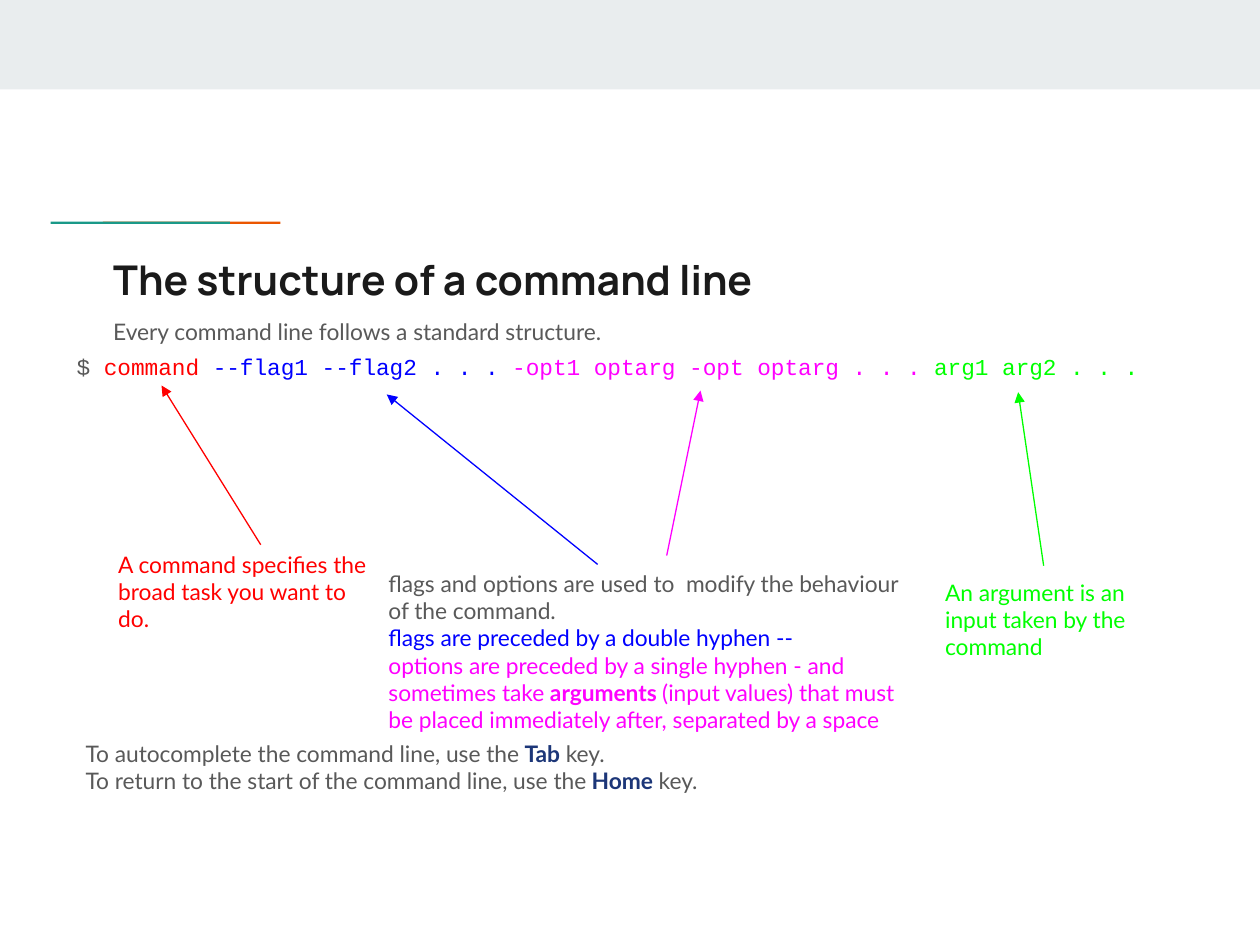
from lxml.etree import SubElement
from pptx import Presentation
from pptx.dml.color import RGBColor
from pptx.enum.shapes import MSO_CONNECTOR, MSO_SHAPE
from pptx.oxml.ns import qn
from pptx.util import Pt

HUES = {
    "band": "E9EDEE", "rust": "EB5600", "teal": "1A9988",
    "ink": "1A1A1A", "grey": "595959", "navy": "1C3678",
    "red": "FF0000", "blue": "0000FF", "pink": "FF00FF", "green": "00FF00",
}


class Deck:
    """Holds the text style and the current slide, and draws each kind of element."""

    def __init__(self, wide, high):
        self.prs = Presentation()
        self.prs.slide_width, self.prs.slide_height = Pt(wide), Pt(high)
        self.slide = self.prs.slides.add_slide(self.prs.slide_layouts[6])
        self.font, self.size, self.pad = "Lato", 13, Pt(7.2)

    def hue(self, name):
        return RGBColor.from_string(HUES[name])

    def bar(self, spot, hue):
        shape = self.slide.shapes.add_shape(MSO_SHAPE.RECTANGLE, *map(Pt, spot))
        shape.shadow.inherit = False
        shape.fill.solid()
        shape.fill.fore_color.rgb = self.hue(hue)
        shape.line.fill.background()

    def text(self, spot, *lines, font=None, size=None, gap=None, after=0):
        frame = self.slide.shapes.add_textbox(*map(Pt, spot)).text_frame
        frame.word_wrap = True
        frame.margin_left = frame.margin_right = self.pad
        frame.margin_top = frame.margin_bottom = self.pad
        for num, line in enumerate(lines):
            para = frame.add_paragraph() if num else frame.paragraphs[0]
            para.line_spacing = gap
            para.space_after = Pt(after)
            for words, hue, *bold in line:
                run = para.add_run()
                run.text = words
                run.font.name = font or self.font
                run.font.size = Pt(size or self.size)
                run.font.bold = bool(bold)
                run.font.color.rgb = self.hue(hue)

    def arrow(self, start, end, hue):
        link = self.slide.shapes.add_connector(
            MSO_CONNECTOR.STRAIGHT, *map(Pt, start + end))
        link.line.color.rgb = self.hue(hue)
        link.line.width = Pt(0.75)
        props = link.element.spPr
        SubElement(props.find(qn("a:ln")), qn("a:tailEnd"), type="triangle")
        SubElement(props, qn("a:effectLst"))

    def save(self):
        self.prs.save("out.pptx")


def main():
    deck = Deck(720, 540)
    deck.bar((0, 0, 720, 51.1), "band")
    deck.bar((58.8, 126.6, 101.4, 1.4), "rust")
    deck.bar((29, 126.6, 102.4, 1.4), "teal")

    deck.text((57.6, 138.2, 605.5, 56.2),
              [("The structure of a command line", "ink", True)],
              font="Manrope", size=23.4)
    deck.text((57.6, 172.1, 605.5, 32.4),
              [("Every command line follows a standard structure.", "grey")],
              gap=1.15, after=12)
    deck.text((36.7, 194.4, 647.3, 37.4),
              [("$ ", "grey"), ("command ", "red"),
               ("--flag1 --flag2 . . . ", "blue"),
               ("-opt1 optarg -opt optarg . . . ", "pink"),
               ("arg1 arg2 . . .", "green")],
              font="Courier New")

    for start, end, hue in (
        ((149, 311.3), (92.3, 220.3), "red"),
        ((341.5, 322.5), (221, 225.4), "blue"),
        ((381, 317.5), (400.3, 223.2), "pink"),
        ((596.4, 323.3), (581.8, 224.1), "green"),
    ):
        deck.arrow(start, end, hue)

    deck.text((60.5, 307.4, 160.6, 123.8),
              [("A command specifies the broad task you want to do.", "red")])
    deck.text((214.9, 318.2, 316.1, 118.8),
              [("flags and options are used to  modify the behaviour of the command.", "grey")],
              [("flags are preceded by a double hyphen --", "blue")],
              [("options are preceded by a single hyphen - and sometimes take ", "pink"),
               ("arguments ", "pink", True),
               ("(input values) that must be placed immediately after, "
                "separated by a space", "pink")])
    deck.text((533, 323.3, 126.7, 77),
              [("An argument is an input taken by the command", "green")])

    tips = (("autocomplete", "Tab"), ("return to the start of", "Home"))
    deck.text((41.8, 415.4, 621.4, 46.1),
              *([(f"To {task} the command line, use the ", "grey"),
                 (key, "navy", True), (" key.", "grey")] for task, key in tips))
    deck.save()


if __name__ == "__main__":
    main()
